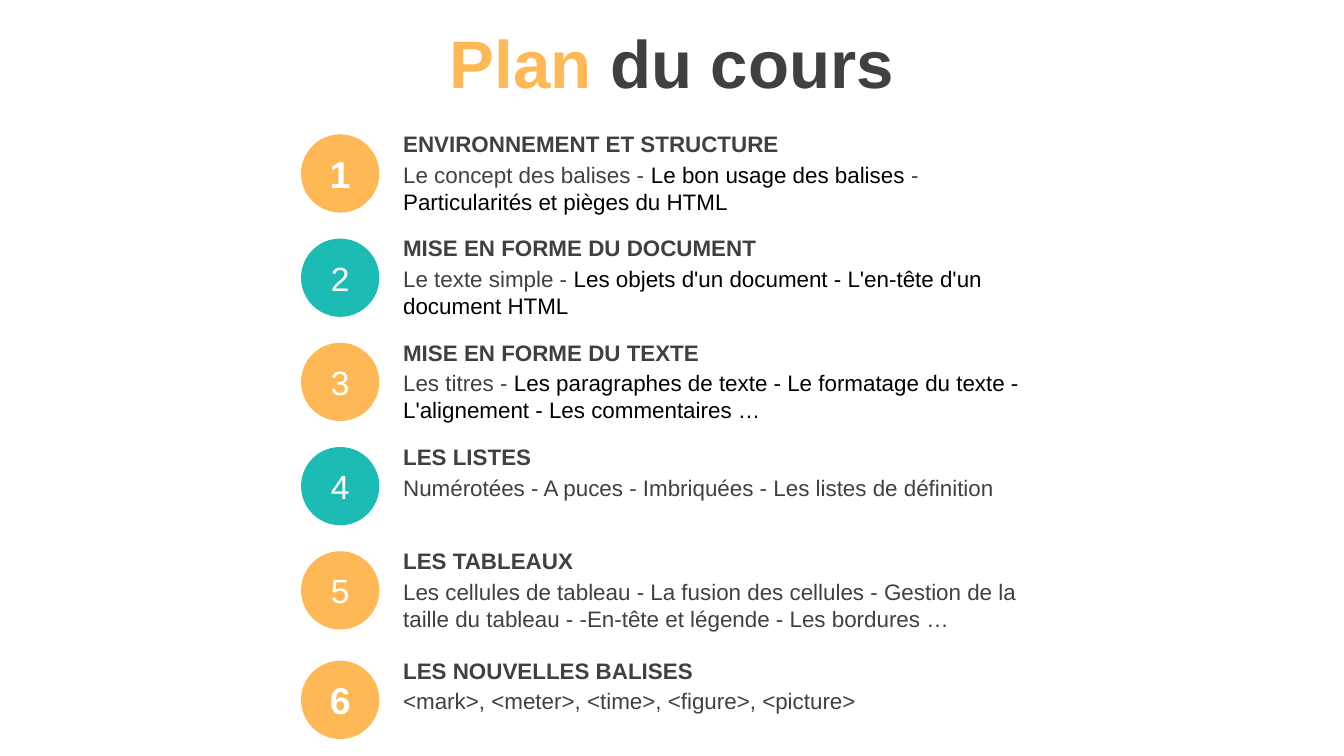
import pptx
import pptx.dml.color
import pptx.enum.shapes
import pptx.enum.text
import pptx.util

Cm = pptx.util.Cm
ALIGN = pptx.enum.text.PP_ALIGN
ANCHOR = pptx.enum.text.MSO_ANCHOR

ORANGE = "FEB856"
TEAL = "1CBBB4"
GREY = "404040"
BLACK = "000000"
WHITE = "FFFFFF"

ROW_LEFT, ROW_WIDTH = 5.69, 14
FIRST_TOP, ROW_PITCH, LAST_TOP = 2.34, 1.97, 12.29
CIRCLE_SIZE, CIRCLE_DROP = 1.48, 0.2
TEXT_INDENT, BODY_DROP, LINE_HEIGHT = 1.68, 0.58, 0.76

CHAPTERS = [
    ("ENVIRONNEMENT ET STRUCTURE", ORANGE, True, [
        ("Le concept des balises - ", GREY),
        ("Le bon usage des balises", BLACK),
        (" - ", GREY),
        ("Particularités et pièges du HTML", BLACK)]),
    ("MISE EN FORME DU DOCUMENT", TEAL, False, [
        ("Le texte simple - ", GREY),
        ("Les objets d'un document - L'en-tête d'un document HTML", BLACK)]),
    ("MISE EN FORME DU TEXTE", ORANGE, False, [
        ("Les titres - ", GREY),
        ("Les paragraphes de texte - Le formatage du texte - "
         "L'alignement - Les commentaires …", BLACK)]),
    ("LES LISTES", TEAL, False, [
        ("Numérotées - A puces - Imbriquées - Les listes de définition", GREY)]),
    ("LES TABLEAUX", ORANGE, False, [
        ("Les cellules de tableau - La fusion des cellules - Gestion de la "
         "taille du tableau - -En-tête et légende - Les bordures …", GREY)]),
    ("LES NOUVELLES BALISES", ORANGE, True, [
        ("<mark>, <meter>, <time>, <figure>, <picture>", GREY)]),
]


def color(value):
    return pptx.dml.color.RGBColor.from_string(value)


def fill_text(shape, pieces, size, bold=False, align=ALIGN.LEFT, anchor=ANCHOR.TOP):
    frame = shape.text_frame
    frame.word_wrap = True
    frame.vertical_anchor = anchor
    para = frame.paragraphs[0]
    para.alignment = align
    for text, value in pieces:
        span = para.add_run()
        span.text = text
        span.font.name = "Arial"
        span.font.size = pptx.util.Pt(size)
        span.font.bold = bold
        span.font.color.rgb = color(value)


def add_text(page, left, top, width, height, pieces, size, **style):
    box = page.shapes.add_textbox(Cm(left), Cm(top), Cm(width), Cm(height))
    fill_text(box, pieces, size, **style)


def add_title(page, left, top, width, height):
    add_text(page, left, top, width, height,
             [("Plan ", ORANGE), ("du cours", GREY)], 36,
             bold=True, align=ALIGN.CENTER, anchor=ANCHOR.MIDDLE)


def add_chapter(page, left, top, width, number, chapter):
    heading, accent, strong, topics = chapter
    circle = page.shapes.add_shape(
        pptx.enum.shapes.MSO_SHAPE.OVAL, Cm(left), Cm(top + CIRCLE_DROP),
        Cm(CIRCLE_SIZE), Cm(CIRCLE_SIZE))
    circle.shadow.inherit = False
    circle.fill.solid()
    circle.fill.fore_color.rgb = color(accent)
    circle.line.fill.background()
    fill_text(circle, [(str(number), WHITE)], 20 if strong else 18,
              bold=strong, align=ALIGN.CENTER, anchor=ANCHOR.MIDDLE)

    text_left, text_width = left + TEXT_INDENT, width - TEXT_INDENT
    lines = 1 if sum(len(text) for text, value in topics) < 65 else 2
    add_text(page, text_left, top + BODY_DROP, text_width, LINE_HEIGHT + (lines - 1) * 0.51,
             topics, 12)
    add_text(page, text_left, top, text_width, LINE_HEIGHT,
             [(heading, GREY)], 12, bold=True)


def main():
    deck = pptx.Presentation()
    deck.slide_width = Cm(25.4)
    deck.slide_height = Cm(14.29)
    page = deck.slides.add_slide(deck.slide_layouts[6])
    page.background.fill.solid()
    page.background.fill.fore_color.rgb = color(WHITE)

    add_title(page, 0, 0.08, 25.4, 2.16)
    tops = [FIRST_TOP + index * ROW_PITCH for index in range(len(CHAPTERS) - 1)] + [LAST_TOP]
    for number, (top, chapter) in enumerate(zip(tops, CHAPTERS), start=1):
        add_chapter(page, ROW_LEFT, top, ROW_WIDTH, number, chapter)

    deck.save("out.pptx")


if __name__ == "__main__":
    main()
